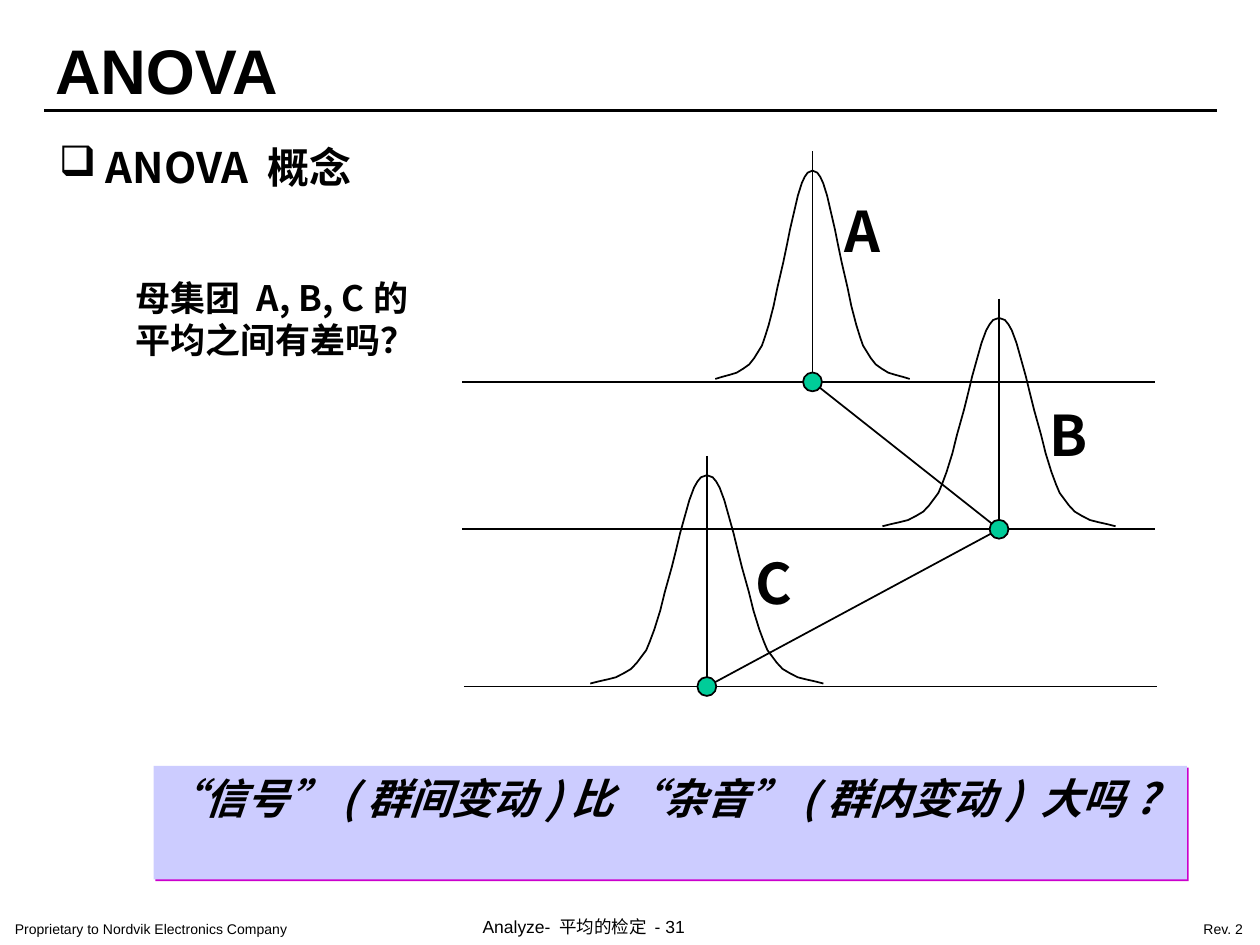
from lxml.etree import SubElement
from pptx import Presentation
from pptx.dml.color import RGBColor
from pptx.enum.shapes import MSO_CONNECTOR as CONN, MSO_SHAPE as SHAPE
from pptx.enum.text import MSO_ANCHOR, PP_ALIGN
from pptx.oxml.ns import qn
from pptx.util import Cm, Pt

COLORS = {"ink": "000000", "dot": "00CC99", "banner": "CCCCFF", "shadow": "CC00CC"}
SANS, CJK = "Arial", "Noto Sans CJK SC"

# All lengths are in centimetres; boxes are left, top, width, height.
FOOTERS = [
    ("Proprietary to Nordvik Electronics Company", (0, 18.41, 8.15, 0.64), 8),
    ("Analyze- 平均的检定 - 31", (9.43, 18.31, 5.92, 0.74), 10),
    ("Rev. 2", (23.96, 18.41, 1.44, 0.64), 8),
]
TITLE = ("ANOVA", (0.86, 0.5, 11.81, 1.78))
HEADING = (" ANOVA 概念", (0.94, 2.73, 11.76, 1.27))
QUESTION = ("母集团 A, B, C的 平均之间有差吗？", (2.43, 5.42, 6.93, 2.01))
# Text and letter spacing in points: closing quotes sit tight to the bracket
BANNER_RUNS = [("“信号", 0), ("” ", -5), ("(群间变动)比 “杂音", 0), ("” ", -5),
               ("(群内变动) 大吗? ", 0)]
BANNER_BOX = (3.1, 15.44, 20.83, 2.29)

# name, mean x, axis y, axis left, half width of the curve, label position
GROUPS = [
    ("A", 16.38, 7.7, 9.32, 1.96, (16.78, 3.84)),
    ("B", 20.14, 10.67, 9.32, 2.35, (20.9, 7.95)),
    ("C", 14.25, 13.84, 9.35, 2.35, (14.99, 10.92)),
]
AXIS_W, STEM_H, CURVE_H, CURVE_GAP, DOT = 13.97, 4.65, 4.2, 0.06, 0.38

# Half a bell from tail to peak, as fractions of half width and height
BELL = [
    (0, 0), (0.07, 0.01), (0.15, 0.02), (0.22, 0.03), (0.29, 0.05), (0.35, 0.07),
    (0.4, 0.1), (0.44, 0.13), (0.48, 0.16), (0.51, 0.2), (0.55, 0.26),
    (0.6, 0.35), (0.64, 0.44), (0.7, 0.56), (0.74, 0.65), (0.77, 0.72),
    (0.81, 0.8), (0.85, 0.88), (0.89, 0.94), (0.92, 0.97), (0.95, 0.99), (1, 1),
]


def rgb(name):
    return RGBColor.from_string(COLORS[name])


def write(s, runs, size=24, font=CJK, bold=True, italic=False, align=PP_ALIGN.LEFT,
          inset=(0.25, 0.13), bullet=None):
    """Fill a shape with one paragraph of (text, letter spacing) runs, or plain text."""
    tf = s.text_frame
    tf.word_wrap = True
    tf.vertical_anchor = MSO_ANCHOR.TOP
    tf.margin_left = tf.margin_right = Cm(inset[0])
    tf.margin_top = tf.margin_bottom = Cm(inset[1])
    p = tf.paragraphs[0]
    p.alignment = align
    if bullet:
        SubElement(p._p.get_or_add_pPr(), qn("a:buChar"), char=bullet)
    for text, spacing in [(runs, 0)] if isinstance(runs, str) else runs:
        r = p.add_run()
        r.text = text
        f = r.font
        f.name, f.size, f.bold, f.italic = font, Pt(size), bold, italic
        f.color.rgb = rgb("ink")
        rPr = r._r.get_or_add_rPr()
        SubElement(rPr, qn("a:ea"), typeface=CJK)
        if spacing:
            rPr.set("spc", str(spacing * 100))


def add_text(shapes, text, box, **fmt):
    write(shapes.add_textbox(*map(Cm, box)), text, **fmt)


def add_line(shapes, start, end, width=1):
    s = shapes.add_connector(CONN.STRAIGHT, *map(Cm, start + end))
    s.line.color.rgb, s.line.width = rgb("ink"), Pt(width)
    SubElement(s._element.spPr, qn("a:effectLst"))


def outline(s):
    s.shadow.inherit = False
    s.line.color.rgb, s.line.width = rgb("ink"), Pt(1)


def add_half_bell(shapes, mean, axis, half, side):
    """Draw the left (side -1) or right (side 1) half of a bell curve."""
    pts = [(Cm(mean + side * half * (1 - x)), Cm(axis - CURVE_GAP - CURVE_H * y))
           for x, y in BELL]
    fb = shapes.build_freeform(*pts[0], scale=1.0)
    fb.add_line_segments(pts[1:], close=False)
    s = fb.convert_to_shape()
    s.fill.background()
    outline(s)


def add_banner(shapes):
    s = shapes.add_shape(SHAPE.RECTANGLE, *map(Cm, BANNER_BOX))
    s.fill.solid()
    s.fill.fore_color.rgb = rgb("banner")
    s.line.fill.background()
    s.shadow.inherit = False
    shadow = SubElement(s._element.spPr.find(qn("a:effectLst")), qn("a:outerShdw"),
                        dist=str(Pt(1.4)), dir=str(45 * 60000), algn="ctr", rotWithShape="0")
    SubElement(shadow, qn("a:srgbClr"), val=COLORS["shadow"])
    write(s, BANNER_RUNS, italic=True, align=PP_ALIGN.CENTER)
    s.text_frame.margin_left = 0


def main():
    prs = Presentation()
    prs.slide_width, prs.slide_height = Cm(25.4), Cm(19.05)
    shapes = prs.slides.add_slide(prs.slide_layouts[6]).shapes

    for text, box, size in FOOTERS:
        add_text(shapes, text, box, size=size, font=SANS, bold=False, inset=(0.3, 0.15))
    add_line(shapes, (0.89, 2.23), (24.54, 2.23), width=1.5)

    means = [(x, y) for _, x, y, *_ in GROUPS]
    for start, end in zip(means, means[1:]):
        add_line(shapes, start, end)
    for _, x, y, left, half, _ in GROUPS:
        for side in (-1, 1):
            add_half_bell(shapes, x, y, half, side)
        add_line(shapes, (left, y), (left + AXIS_W, y))
        add_line(shapes, (x, y - STEM_H), (x, y))
    for x, y in means:
        s = shapes.add_shape(SHAPE.OVAL, Cm(x - DOT / 2), Cm(y - DOT / 2), Cm(DOT), Cm(DOT))
        s.fill.solid()
        s.fill.fore_color.rgb = rgb("dot")
        outline(s)

    add_banner(shapes)
    for name, *_, pos in GROUPS:
        add_text(shapes, name, pos + (1.19, 1.6), size=32)
    add_text(shapes, *TITLE, size=36, font=SANS)
    add_text(shapes, *HEADING, bullet="❑")
    add_text(shapes, *QUESTION, size=20, inset=(0.3, 0.15))
    prs.save("out.pptx")


if __name__ == "__main__":
    main()
